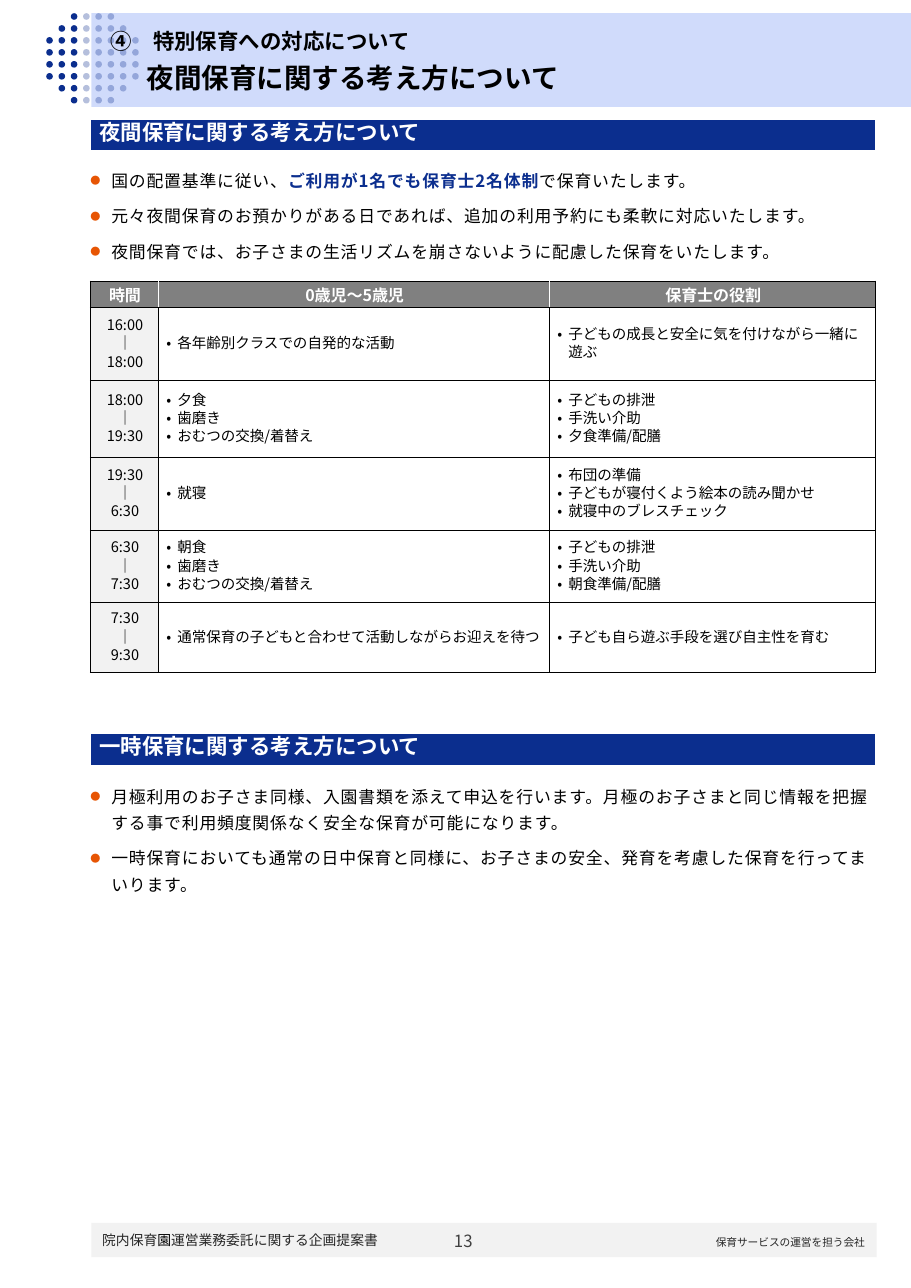
from dataclasses import dataclass

from lxml.etree import SubElement
from pptx import Presentation
from pptx.dml.color import RGBColor
from pptx.enum.lang import MSO_LANGUAGE_ID
from pptx.enum.shapes import MSO_SHAPE
from pptx.enum.text import MSO_ANCHOR, MSO_AUTO_SIZE, PP_ALIGN
from pptx.oxml.ns import qn
from pptx.util import Inches, Pt


@dataclass(frozen=True)
class Theme:
    face: str = "Noto Sans CJK JP"
    navy: str = "0B2E8E"
    sky: str = "BDCDFA"
    orange: str = "E75504"
    black: str = "000000"
    white: str = "FFFFFF"
    gray: str = "808080"
    pale: str = "F2F2F2"
    ink: str = "262626"
    page: str = "404040"
    lead: float = 18
    head: float = 14
    body: float = 11
    label: float = 10.5
    cell: float = 9.5
    foot: float = 9
    firm: float = 7


theme = Theme()


def fit(item, values):
    """Set each attribute of item named in values."""
    for name, value in values.items():
        setattr(item, name, value)


def put(frame, lines, size, color, bold=False, para={}, mark=None, space=0):
    """Write lines of runs; a run is (text, color, bold), and mark is
    (sign, color, percent, indent)."""
    for i, runs in enumerate(lines):
        line = frame.add_paragraph() if i else frame.paragraphs[0]
        fit(line, {"space_before": Pt(0), **para})
        if mark:
            sign, tint, scale, inset = mark
            props = line._p.get_or_add_pPr()
            props.set("marL", str(Inches(inset)))
            props.set("indent", str(-Inches(inset)))
            SubElement(SubElement(props, qn("a:buClr")), qn("a:srgbClr"), val=tint)
            SubElement(props, qn("a:buSzPct"), val=str(scale * 1000))
            SubElement(props, qn("a:buFont"), typeface=theme.face)
            SubElement(props, qn("a:buChar"), char=sign)
        for text, tint, strong in [(runs, color, bold)] if isinstance(runs, str) else runs:
            run = line.add_run()
            run.text = text
            fit(run.font, {"size": Pt(size), "bold": strong, "name": theme.face,
                           "language_id": MSO_LANGUAGE_ID.JAPANESE})
            run.font.color.rgb = RGBColor.from_string(tint)
            props = run.font._element
            props.set("spc", str(space))
            SubElement(props, qn("a:ea"), typeface=theme.face)


deck = Presentation()
fit(deck, {"slide_width": Inches(8.27), "slide_height": Inches(11.69)})
slide = deck.slides.add_slide(deck.slide_layouts[4])
shapes = slide.shapes
holders = {p.placeholder_format.idx: p for p in slide.placeholders}

# Footer bar, header band and dot pattern: kind, place, colour, opacity
OVAL, RECT = MSO_SHAPE.OVAL, MSO_SHAPE.RECTANGLE
decor = [(RECT, (0.83, 11.1, 7.13, 0.31), theme.pale, 100),
         (RECT, (0.83, 0.12, 7.44, 0.85), theme.sky, 70)]
for col in range(8):
    trim = max(0, 2 - col, col - 5)
    for row in range(trim, 8 - trim):
        spot = (0.42 + col * 0.78 / 7, 0.12 + row * 0.76 / 7, 0.06, 0.06)
        decor.append((OVAL, spot, theme.navy, 100 if col < 3 else 30))
for kind, place, color, alpha in decor:
    shape = shapes.add_shape(kind, *map(Inches, place))
    shape.shadow.inherit = False
    shape.line.fill.background()
    shape.fill.solid()
    shape.fill.fore_color.rgb = RGBColor.from_string(color)
    if alpha < 100:
        tint = shape.element.spPr.find(".//" + qn("a:srgbClr"))
        SubElement(tint, qn("a:alpha"), val=str(alpha * 1000))

# Title, subtitle and footer texts
right = {"alignment": PP_ALIGN.RIGHT}
left = {"alignment": PP_ALIGN.LEFT}
labels = [
    (holders[0], (0.9, 0.2, 6.74, 0.34), "④　特別保育への対応について", theme.head, theme.black, True, left),
    (holders[1], (1.23, 0.5, 5.77, 0.4), "夜間保育に関する考え方について", theme.lead, theme.black, True, left),
    (None, (0.83, 11.13, 4.26, 0.25),
     [("院内保育", theme.ink, False), ("園", theme.black, False),
      ("運営業務委託に関する企画提案書", theme.ink, False)], theme.foot, theme.ink, False, left),
    (None, (3.69, 11.16, 4.26, 0.22), "保育サービスの運営を担う会社", theme.firm, theme.ink, False, right),
    (None, (3.88, 11.13, 0.51, 0.26), "13", theme.body, theme.page, False, right),
]
for box, place, text, size, color, bold, para in labels:
    place = [Inches(v) for v in place]
    if box is None:
        box = shapes.add_textbox(*place)
    else:
        fit(box, dict(zip(("left", "top", "width", "height"), place)))
        shapes.element.append(box.element)
    fit(box.text_frame, {"word_wrap": True, "auto_size": MSO_AUTO_SIZE.NONE,
                         "vertical_anchor": MSO_ANCHOR.MIDDLE})
    put(box.text_frame, [text], size, color, bold, para)

# Sections: a heading bar over a list
sections = [
    ("夜間保育に関する考え方について", 1.08, holders[2], 1.49, 0.86, [
        [("国の配置基準に従い、", theme.black, False),
         ("ご利用が1名でも保育士2名体制", theme.navy, True),
         ("で保育いたします。", theme.black, False)],
        "元々夜間保育のお預かりがある日であれば、追加の利用予約にも柔軟に対応いたします。",
        "夜間保育では、お子さまの生活リズムを崩さないように配慮した保育をいたします。"]),
    ("一時保育に関する考え方について", 6.66, holders[4], 7.08, 1.1, [
        "月極利用のお子さま同様、入園書類を添えて申込を行います。月極のお子さまと同じ情報を把握する事で利用頻度関係なく安全な保育が可能になります。",
        "一時保育においても通常の日中保育と同様に、お子さまの安全、発育を考慮した保育を行ってまいります。"]),
]
for name, top, box, start, height, items in sections:
    bar = shapes.add_table(1, 1, Inches(0.82), Inches(top), Inches(7.13), Inches(0.29)).table
    cell = bar.cell(0, 0)
    fit(cell, {"margin_left": Inches(0.08), "margin_right": 0, "margin_top": 0,
               "margin_bottom": 0, "vertical_anchor": MSO_ANCHOR.MIDDLE})
    cell.fill.solid()
    cell.fill.fore_color.rgb = RGBColor.from_string(theme.navy)
    put(cell.text_frame, [name], theme.head, theme.white, True,
        {"line_spacing": Pt(15), "space_after": Pt(1)})
    fit(box, {"left": Inches(0.82), "top": Inches(start),
              "width": Inches(7.13), "height": Inches(height)})
    shapes.element.append(box.element)
    fit(box.text_frame, {"margin_left": 0, "margin_right": 0, "margin_top": 0,
                         "margin_bottom": 0, "word_wrap": True,
                         "auto_size": MSO_AUTO_SIZE.NONE, "vertical_anchor": MSO_ANCHOR.TOP})
    put(box.text_frame, items, theme.body, theme.black,
        para={"line_spacing": Pt(17.2), "space_after": Pt(6)},
        mark=("●", theme.orange, 60, 0.19), space=50)
holders[3].element.getparent().remove(holders[3].element)

# Night care timetable
rows = [
    (["時間"], ["0歳児～5歳児"], ["保育士の役割"]),
    (["16:00", "｜", "18:00"], ["各年齢別クラスでの自発的な活動"],
     ["子どもの成長と安全に気を付けながら一緒に遊ぶ"]),
    (["18:00", "｜", "19:30"], ["夕食", "歯磨き", "おむつの交換/着替え"],
     ["子どもの排泄", "手洗い介助", "夕食準備/配膳"]),
    (["19:30", "｜", "6:30"], ["就寝"],
     ["布団の準備", "子どもが寝付くよう絵本の読み聞かせ", "就寝中のブレスチェック"]),
    (["6:30", "｜", "7:30"], ["朝食", "歯磨き", "おむつの交換/着替え"],
     ["子どもの排泄", "手洗い介助", "朝食準備/配膳"]),
    (["7:30", "｜", "9:30"], ["通常保育の子どもと合わせて活動しながらお迎えを待つ"],
     ["子ども自ら遊ぶ手段を選び自主性を育む"]),
]
grid = shapes.add_table(6, 3, Inches(0.82), Inches(2.55), Inches(7.13), Inches(3.54)).table
fit(grid, {"first_row": False, "horz_banding": False})
for col, width in zip(grid.columns, (0.62, 3.55, 2.96)):
    col.width = Inches(width)
for row, height in zip(grid.rows, (0.24, 0.66, 0.7, 0.66, 0.66, 0.63)):
    row.height = Inches(height)
middle = {"alignment": PP_ALIGN.CENTER}
tight = {"line_spacing": Pt(12)}
for r, row in enumerate(rows):
    for c, lines in enumerate(row):
        cell = grid.cell(r, c)
        fit(cell, {"margin_left": Inches(0.07), "margin_right": Inches(0.06), "margin_top": 0,
                   "margin_bottom": 0, "vertical_anchor": MSO_ANCHOR.MIDDLE})
        inner = {"L": r == 0 and c > 0, "R": r == 0 and c < 2, "T": False, "B": False}
        for side, light in inner.items():
            edge = SubElement(cell._tc.get_or_add_tcPr(), qn("a:ln" + side), w=str(Pt(0.5)))
            tint = theme.white if light else theme.black
            SubElement(SubElement(edge, qn("a:solidFill")), qn("a:srgbClr"), val=tint)
        if r == 0 or c == 0:
            cell.fill.solid()
            cell.fill.fore_color.rgb = RGBColor.from_string(theme.pale if r else theme.gray)
        else:
            cell.fill.background()
        if r == 0:
            put(cell.text_frame, lines, theme.label, theme.white, True, middle)
        elif c == 0:
            put(cell.text_frame, lines, theme.cell, theme.black, para={**middle, **tight})
        else:
            put(cell.text_frame, lines, theme.cell, theme.black, para=tight,
                mark=("•", theme.black, 100, 0.1))

deck.save("out.pptx")
